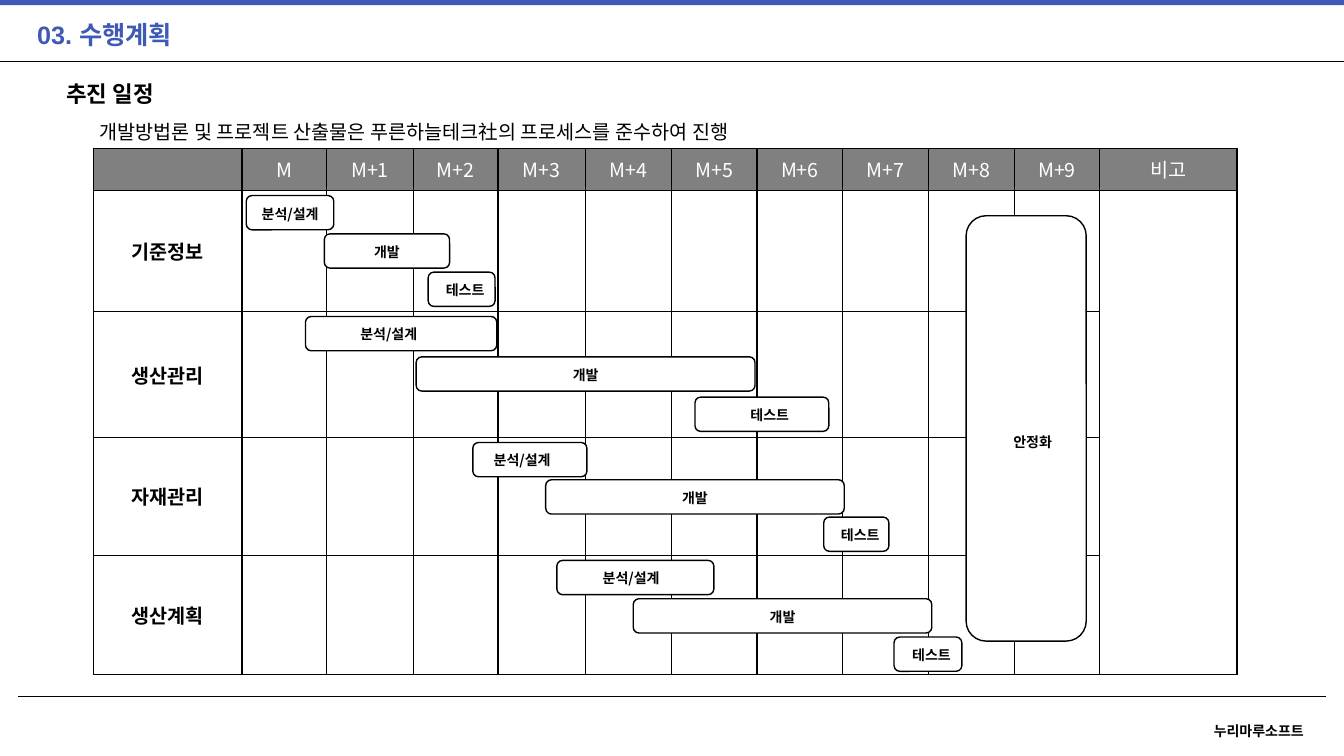
"""Build the project schedule slide."""
import pptx
import pptx.util
import pptx.dml.color
import pptx.enum.shapes
import pptx.enum.text
import pptx.oxml.ns
from lxml import etree

WIDE, HIGH = 13.33, 7.5
NOTO = "Noto Sans CJK KR"
COLORS = {"blue": "3E5AB4", "black": "000000", "white": "FFFFFF", "gray": "808080"}

HEADS = ["", *["M" + (f"+{n}" if n else "") for n in range(10)], "비고"]
COLS = [1.47, 0.84, 0.86, 0.84, 0.87] + [0.85] * 6 + [1.36]
LEFT, TOP, HEAD = 0.93, 1.47, 0.42
STEPS = ["분석/설계", "개발", "테스트"]
BAR, PAD, DROP = 0.34, 0.05, 0.045
LABEL = 0.27

# fields: name, row height, lane pitch, bars as (start, months, label shift, label months)
PLAN = [
    ("기준정보", 1.2, 0.38,
     [(0.05, 1.02, 0, 1.02), (0.96, 1.46, 0, 1.46), (2.17, 0.78, 0, 0.86)]),
    ("생산관리", 1.25, 0.4,
     [(0.74, 2.23, 0, 1.94), (2.03, 3.95, 0, 3.95), (5.28, 1.56, 0, 1.74)]),
    ("자재관리", 1.17, 0.37,
     [(2.69, 1.33, 0, 1.15), (3.54, 3.48, 0, 3.48), (6.78, 0.76, 0, 0.85)]),
    ("생산계획", 1.18, 0.38,
     [(3.67, 1.83, 0.07, 1.59), (4.56, 3.48, 0, 3.48), (7.6, 0.79, 0, 0.87)]),
]
FINAL = ("안정화", 8.44, 1.4, 1.55, 2.14, 4.22)

TITLES = [
    ("03. 수행계획", (0.27, 0.14, 6.67, 0.4),
     dict(size=18, bold=True, color="blue", font="Arial")),
    ("추진 일정", (0.56, 0.75, 6.67, 0.37), dict(size=16, bold=True)),
    ("개발방법론 및 프로젝트 산출물은 푸른하늘테크社의 프로세스를 준수하여 진행",
     (0.89, 1.14, 7.16, 0.34), dict(size=14, wrap=False)),
    ("누리마루소프트", (11.94, 7.12, 1.18, 0.27), dict(size=10, bold=True, wrap=False)),
]
RULES = [(0.18, 13.15, 6.91, 0.5), (0, WIDE, 0.61, 0.75)]

inch, pt = pptx.util.Inches, pptx.util.Pt
qn = pptx.oxml.ns.qn
ALIGN, ANCHOR = pptx.enum.text.PP_ALIGN, pptx.enum.text.MSO_ANCHOR
SHAPE = pptx.enum.shapes.MSO_SHAPE


def tint(name):
    return pptx.dml.color.RGBColor.from_string(COLORS[name])


def write(frame, text, size=10, bold=False, color="black", font=NOTO, center=False):
    para = frame.paragraphs[0]
    para.alignment = ALIGN.CENTER if center else ALIGN.LEFT
    if not text:
        etree.SubElement(para._p, qn("a:endParaRPr"), sz=str(size * 100))
        return
    run = para.add_run()
    run.text = text
    face = run.font
    face.size, face.bold, face.name = pt(size), bold, font
    face.color.rgb = tint(color)
    etree.SubElement(face._element, qn("a:ea"), typeface=NOTO)


def place(slide, text, box, wrap=True, anchor=ANCHOR.TOP, **look):
    frame = slide.shapes.add_textbox(*map(inch, box)).text_frame
    frame.word_wrap = wrap
    frame.vertical_anchor = anchor
    frame.auto_size = pptx.enum.text.MSO_AUTO_SIZE.SHAPE_TO_FIT_TEXT
    write(frame, text, **look)


def block(slide, kind, box, fill, edge=None):
    shape = slide.shapes.add_shape(kind, *map(inch, box))
    shape.shadow.inherit = False
    shape.fill.solid()
    shape.fill.fore_color.rgb = tint(fill)
    if edge:
        shape.line.color.rgb = tint(edge)
        shape.line.width = pt(1)
    else:
        shape.line.fill.background()


def rule(slide, start, end, y, width):
    line = slide.shapes.add_connector(
        pptx.enum.shapes.MSO_CONNECTOR.STRAIGHT, inch(start), inch(y), inch(end), inch(y))
    line.line.color.rgb = tint("black")
    line.line.width = pt(width)
    etree.SubElement(line._element.spPr, qn("a:effectLst"))


def border(cell):
    props = cell._tc.get_or_add_tcPr()
    for spot, side in enumerate(("a:lnL", "a:lnR", "a:lnT", "a:lnB")):
        line = etree.Element(qn(side), w=str(pt(1)))
        fill = etree.SubElement(line, qn("a:solidFill"))
        etree.SubElement(fill, qn("a:srgbClr"), val=COLORS["black"])
        props.insert(spot, line)


def grid(slide):
    rows = [HEAD] + [item[1] for item in PLAN]
    table = slide.shapes.add_table(
        len(rows), len(COLS), inch(LEFT), inch(TOP), inch(sum(COLS)), inch(sum(rows))).table
    table.first_row = table.horz_banding = False
    for col, width in zip(table.columns, COLS):
        col.width = inch(width)
    for row, height in zip(table.rows, rows):
        row.height = inch(height)
    texts = [HEADS] + [[item[0]] + [""] * (len(COLS) - 1) for item in PLAN]
    for r, line in enumerate(texts):
        for c, text in enumerate(line):
            cell = table.cell(r, c)
            cell.vertical_anchor = ANCHOR.MIDDLE
            if r == 0:
                cell.fill.solid()
                cell.fill.fore_color.rgb = tint("gray")
            else:
                cell.fill.background()
            write(cell.text_frame, text, size=14, bold=r > 0,
                  color="black" if r else "white", center=True)
            border(cell)
    last = len(COLS) - 1
    table.cell(1, last).merge(table.cell(len(PLAN), last))


def bars(slide):
    month = sum(COLS[1:-1]) / len(COLS[1:-1])
    base = LEFT + COLS[0]
    top = TOP + HEAD
    look = dict(bold=True, center=True)
    for name, height, pitch, spans in PLAN:
        for lane, (step, span) in enumerate(zip(STEPS, spans)):
            start, length, shift, width = (value * month for value in span)
            x, y = base + start, top + PAD + lane * pitch
            block(slide, SHAPE.ROUNDED_RECTANGLE, (x, y, length, BAR), "white", "black")
            place(slide, step, (x + shift, y + DROP, width, LABEL), **look)
        top += height
    text, start, length, width, y, height = FINAL
    x = base + start * month
    block(slide, SHAPE.ROUNDED_RECTANGLE, (x, y, length * month, height), "white", "black")
    mid = y + height / 2
    place(slide, text, (x, mid, width * month, LABEL), anchor=ANCHOR.MIDDLE, **look)


def main():
    deck = pptx.Presentation()
    deck.slide_width, deck.slide_height = inch(WIDE), inch(HIGH)
    slide = deck.slides.add_slide(deck.slide_layouts[6])
    block(slide, SHAPE.RECTANGLE, (0, 0, WIDE, 0.05), "blue")
    for line in RULES:
        rule(slide, *line)
    for text, box, look in TITLES:
        place(slide, text, box, **look)
    grid(slide)
    bars(slide)
    deck.save("out.pptx")


if __name__ == "__main__":
    main()
